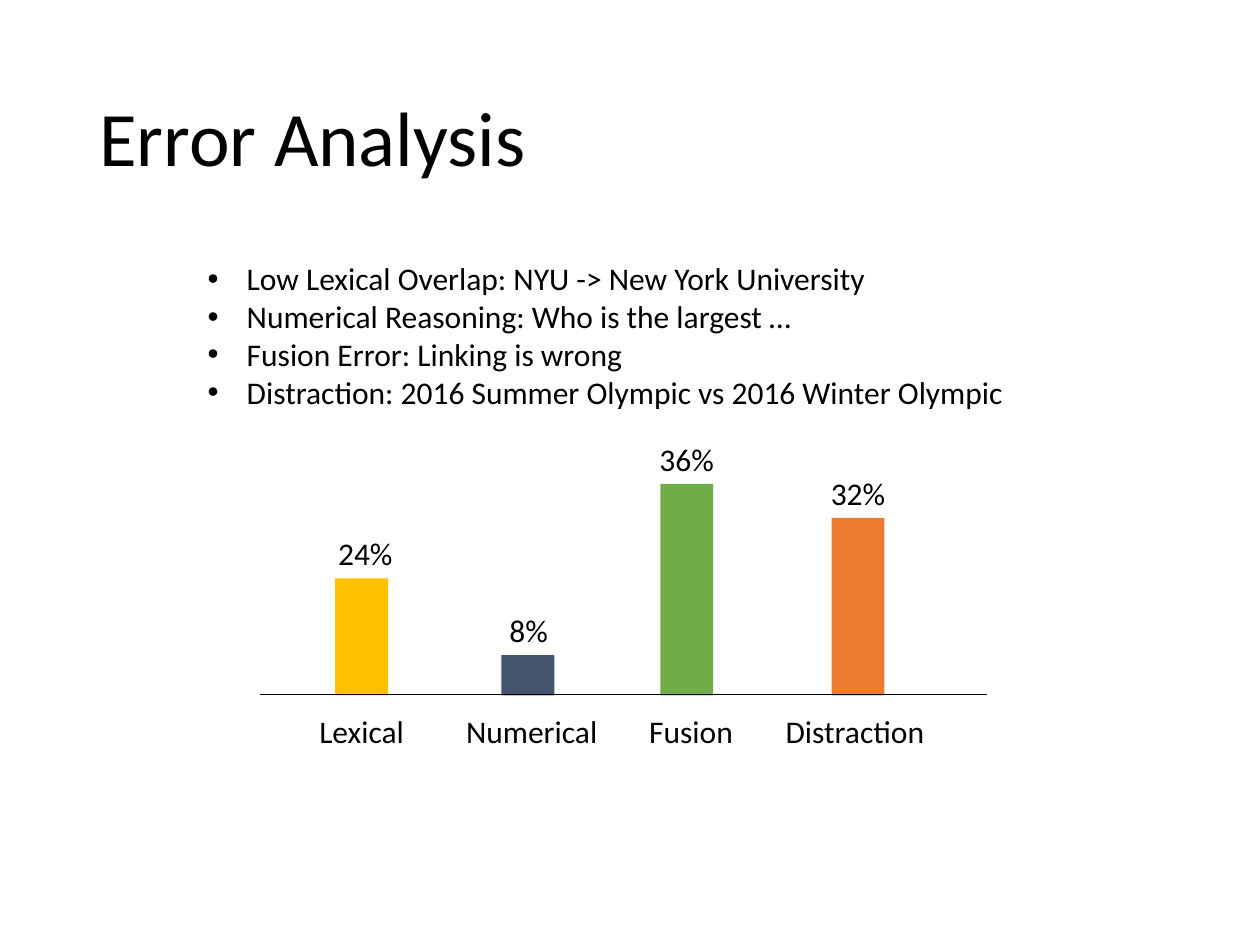
from dataclasses import dataclass

from lxml.etree import SubElement
from pptx import Presentation
from pptx.dml.color import RGBColor
from pptx.enum.shapes import MSO_CONNECTOR, MSO_SHAPE
from pptx.enum.text import MSO_ANCHOR, PP_ALIGN
from pptx.oxml.ns import qn
from pptx.util import Inches, Pt


@dataclass(frozen=True)
class Theme:
    """Colours, font and type sizes of the slide."""
    font: str = "Calibri"
    ink: str = "000000"
    gold: str = "FFC000"
    slate: str = "44546A"
    green: str = "70AD47"
    orange: str = "ED7D31"
    title: int = 44
    body: int = 18
    axis: float = 0.5


@dataclass(frozen=True)
class Bar:
    """One error class; lengths are percent of the slide's size."""
    name: str
    value: str
    color: str
    left: float
    height: float
    value_center: float
    value_width: float
    name_center: float
    name_width: float


THEME = Theme()
WIDTH, HEIGHT = Inches(10), Inches(7.5)
BASELINE, BAR_WIDTH, LABEL_HEIGHT = 73.6, 4.2, 5.33
BULLETS = (
    "Low Lexical Overlap: NYU -> New York University",
    "Numerical Reasoning: Who is the largest …",
    "Fusion Error: Linking is wrong",
    "Distraction: 2016 Summer Olympic vs 2016 Winter Olympic",
)
BARS = (
    Bar("Lexical", "24%", THEME.gold, 26.6, 12.4, 29, 6.4, 28.7, 8.8),
    Bar("Numerical", "8%", THEME.slate, 39.8, 4.27, 41.95, 5.1, 42.2, 12.6),
    Bar("Fusion", "36%", THEME.green, 52.4, 22.4, 54.5, 6.4, 54.85, 8.7),
    Bar("Distraction", "32%", THEME.orange, 66, 18.8, 68.1, 6.4, 67.85, 13.1),
)


def share(x, y):
    """Turn percent of the slide's size into lengths."""
    return int(WIDTH * x / 100), int(HEIGHT * y / 100)


def add_text(slide, at, text, size, wrap=False, align=PP_ALIGN.LEFT):
    """Add a text box and return its text frame."""
    sp = slide.shapes.add_textbox(*share(*at[:2]), *share(*at[2:]))
    tf = sp.text_frame
    tf.text = text
    tf.word_wrap = wrap
    for p in tf.paragraphs:
        p.alignment = align
        for r in p.runs:
            r.font.name = THEME.font
            r.font.size = Pt(size)
            r.font.color.rgb = RGBColor.from_string(THEME.ink)
    return tf


def add_title(slide, text):
    """Add the slide title, centred vertically in its band."""
    tf = add_text(slide, (6.9, 5.33, 86.2, 19.33), text, THEME.title, wrap=True)
    tf.vertical_anchor = MSO_ANCHOR.MIDDLE
    tf.paragraphs[0].line_spacing = 0.9


def add_bullets(slide, lines):
    """Add the list of error classes with hanging bullets."""
    tf = add_text(slide, (15.5, 26.8, 65.9, 17.47), "\n".join(lines), THEME.body)
    indent = Inches(0.31)
    for p in tf.paragraphs:
        props = p._p.get_or_add_pPr()
        props.set("marL", str(indent))
        props.set("indent", str(-indent))
        SubElement(props, qn("a:buFont"), typeface="Arial")
        SubElement(props, qn("a:buChar"), char="•")


def add_bar(slide, bar):
    """Add a bar with its value above and its name below."""
    top = BASELINE - bar.height
    sp = slide.shapes.add_shape(
        MSO_SHAPE.RECTANGLE, *share(bar.left, top), *share(BAR_WIDTH, bar.height))
    sp.shadow.inherit = False
    sp.fill.solid()
    sp.fill.fore_color.rgb = RGBColor.from_string(bar.color)
    sp.line.fill.background()
    labels = (
        (bar.value, bar.value_center, bar.value_width, top - LABEL_HEIGHT),
        (bar.name, bar.name_center, bar.name_width, BASELINE + 1.1),
    )
    for text, center, width, y in labels:
        at = (center - width / 2, y, width, LABEL_HEIGHT)
        add_text(slide, at, text, THEME.body, align=PP_ALIGN.CENTER)


def add_axis(slide):
    """Add the base line of the bars."""
    y = BASELINE - 0.1
    line = slide.shapes.add_connector(
        MSO_CONNECTOR.STRAIGHT, *share(20.6, y), *share(78.3, y))
    line.line.color.rgb = RGBColor.from_string(THEME.ink)
    line.line.width = Pt(THEME.axis)
    SubElement(line._element.spPr, qn("a:effectLst"))


def main():
    """Build and save the slide."""
    prs = Presentation()
    prs.slide_width, prs.slide_height = WIDTH, HEIGHT
    slide = prs.slides.add_slide(prs.slide_layouts[6])
    add_title(slide, "Error Analysis")
    add_bullets(slide, BULLETS)
    for bar in BARS:
        add_bar(slide, bar)
    add_axis(slide)
    prs.save("out.pptx")


if __name__ == "__main__":
    main()
